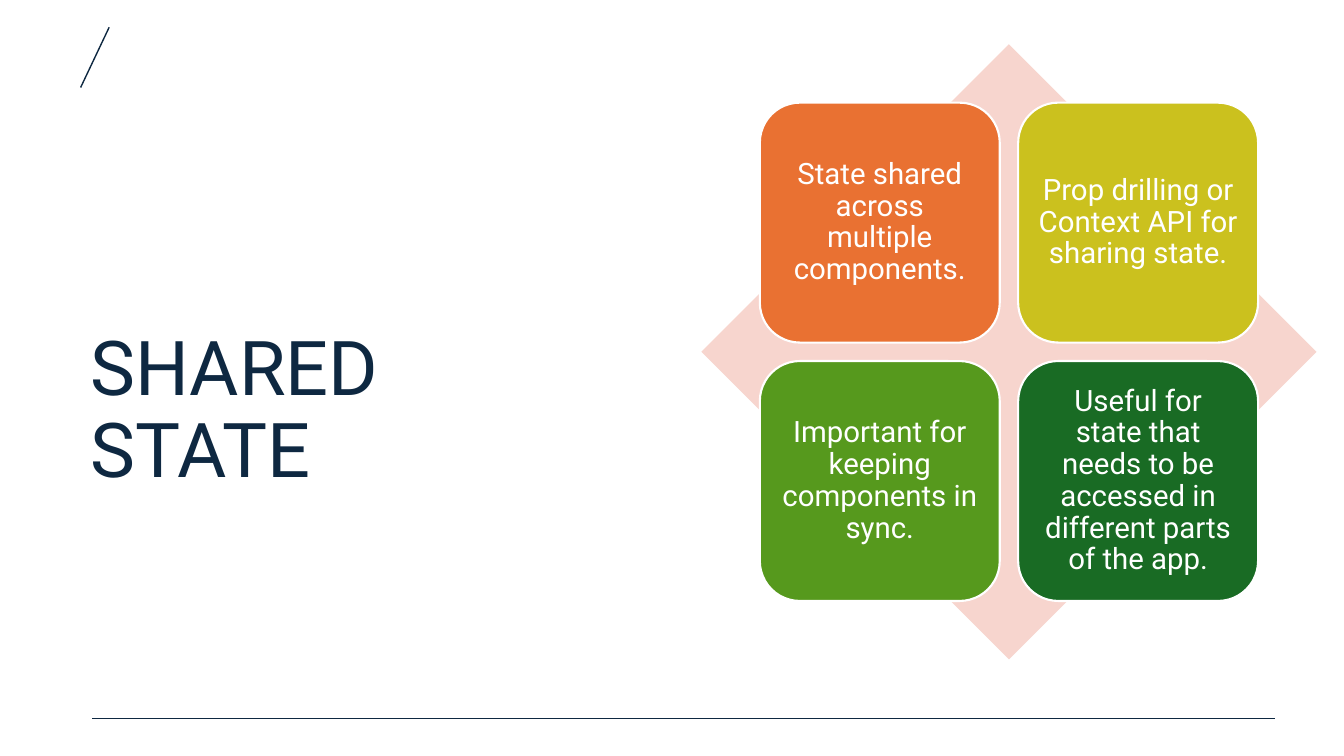
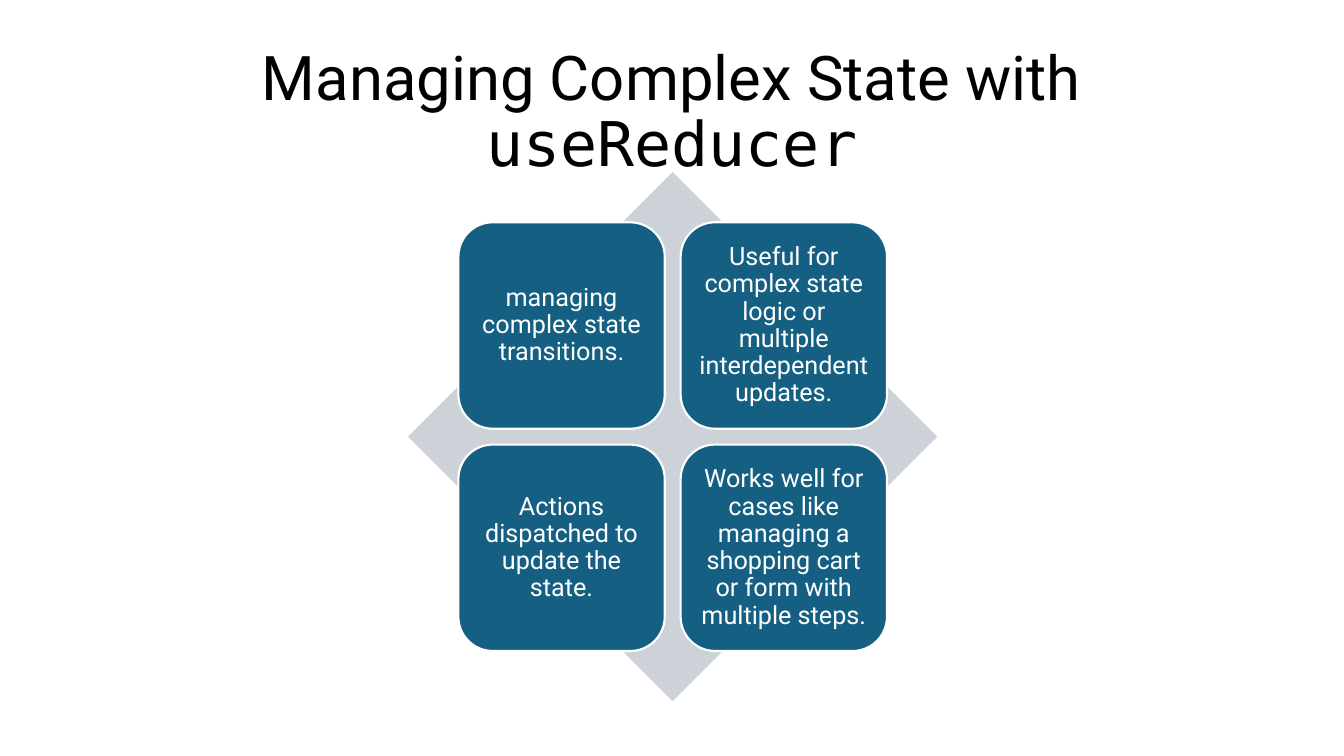
from lxml import etree
from pptx import Presentation
from pptx.dml.color import RGBColor
from pptx.enum.shapes import MSO_CONNECTOR, MSO_SHAPE
from pptx.enum.text import MSO_ANCHOR, PP_ALIGN
from pptx.oxml.ns import qn
from pptx.util import Pt

DIAMOND = MSO_SHAPE.DIAMOND
ROUNDED = MSO_SHAPE.ROUNDED_RECTANGLE
STRAIGHT = MSO_CONNECTOR.STRAIGHT
MIDDLE = MSO_ANCHOR.MIDDLE
LEFT, CENTER = PP_ALIGN.LEFT, PP_ALIGN.CENTER

FONT = "Roboto"
CODE_FONT = "DejaVu Sans Mono"
WHITE, BLACK, NAVY, BLUE = "FFFFFF", "000000", "0E2841", "156082"
LINE_SPACING = 0.9

TILE_SHARE = 0.39
GAP_SHARE = 0.03
MARGIN_SHARE = (1 - 2 * TILE_SHARE - GAP_SHARE) / 2


def color(hex_text):
    return RGBColor.from_string(hex_text)


def style_paragraph(paragraph, size, hex_text, alignment):
    paragraph.alignment = alignment
    paragraph.line_spacing = LINE_SPACING
    paragraph.font.name = FONT
    paragraph.font.size = Pt(size)
    paragraph.font.color.rgb = color(hex_text)


def add_title(slide, box, parts, size, hex_text, alignment):
    shape = slide.shapes.add_textbox(*map(Pt, box))
    frame = shape.text_frame
    frame.word_wrap = True
    frame.vertical_anchor = MIDDLE
    paragraph = frame.paragraphs[0]
    style_paragraph(paragraph, size, hex_text, alignment)
    for text, font in parts:
        run = paragraph.add_run()
        run.text = text
        if font != FONT:
            run.font.name = font


def add_rule(slide, start, end):
    connector = slide.shapes.add_connector(STRAIGHT, *map(Pt, start + end))
    connector.line.color.rgb = color(NAVY)
    connector.line.width = Pt(1)
    etree.SubElement(connector._element.spPr, qn("a:effectLst"))


def add_solid(slide, kind, left, top, side, fill):
    shape = slide.shapes.add_shape(kind, Pt(left), Pt(top), Pt(side), Pt(side))
    shape.shadow.inherit = False
    shape.fill.solid()
    shape.fill.fore_color.rgb = color(fill)
    shape.line.fill.background()
    return shape


def add_tile(slide, left, top, side, fill, text, size, inset):
    tile = add_solid(slide, ROUNDED, left, top, side, fill)
    tile.line.color.rgb = color(WHITE)
    tile.line.width = Pt(1.5)
    frame = tile.text_frame
    frame.word_wrap = True
    frame.vertical_anchor = MIDDLE
    frame.margin_left = frame.margin_right = Pt(inset)
    frame.margin_top = frame.margin_bottom = Pt(inset)
    paragraph = frame.paragraphs[0]
    paragraph.text = text
    style_paragraph(paragraph, size, WHITE, CENTER)


def add_matrix(slide, left, top, side, diamond_fill, tiles, size, inset):
    add_solid(slide, DIAMOND, left, top, side, diamond_fill)
    margin = side * MARGIN_SHARE
    step = side * (TILE_SHARE + GAP_SHARE)
    for index, (fill, text) in enumerate(tiles):
        row, column = divmod(index, 2)
        add_tile(slide, left + margin + column * step, top + margin + row * step,
                 side * TILE_SHARE, fill, text, size, inset)


def build_shared_state(slide):
    add_title(slide, (57.6, 92, 380, 405), [("SHARED STATE", FONT)], 54, NAVY, LEFT)
    add_rule(slide, (78, 19.5), (57.6, 62.5))
    add_rule(slide, (910.4, 513.3), (66, 513.3))
    tiles = [
        ("E97132", "State shared across multiple components."),
        ("CBC11E", "Prop drilling or Context API for sharing state."),
        ("56991D", "Important for keeping components in sync."),
        ("196B24", "Useful for state that needs to be accessed in different parts of the app."),
    ]
    add_matrix(slide, 501, 31.6, 439.4, "F7D5CE", tiles, 21, 6.3)


def build_reducer(slide):
    parts = [("Managing Complex State with ", FONT), ("useReducer", CODE_FONT)]
    add_title(slide, (66, 28.75, 828, 104.4), parts, 44, BLACK, CENTER)
    texts = [
        "managing complex state transitions.",
        "Useful for complex state logic or multiple interdependent updates.",
        "Actions dispatched to update the state.",
        "Works well for cases like managing a shopping cart or form with multiple steps.",
    ]
    tiles = [(BLUE, text) for text in texts]
    add_matrix(slide, 291.5, 122.9, 378, "CCD2D8", tiles, 18, 5.4)


def main():
    presentation = Presentation()
    presentation.slide_width = Pt(960)
    presentation.slide_height = Pt(540)
    blank = presentation.slide_layouts[6]
    for build in (build_shared_state, build_reducer):
        build(presentation.slides.add_slide(blank))
    presentation.save("out.pptx")


if __name__ == "__main__":
    main()
